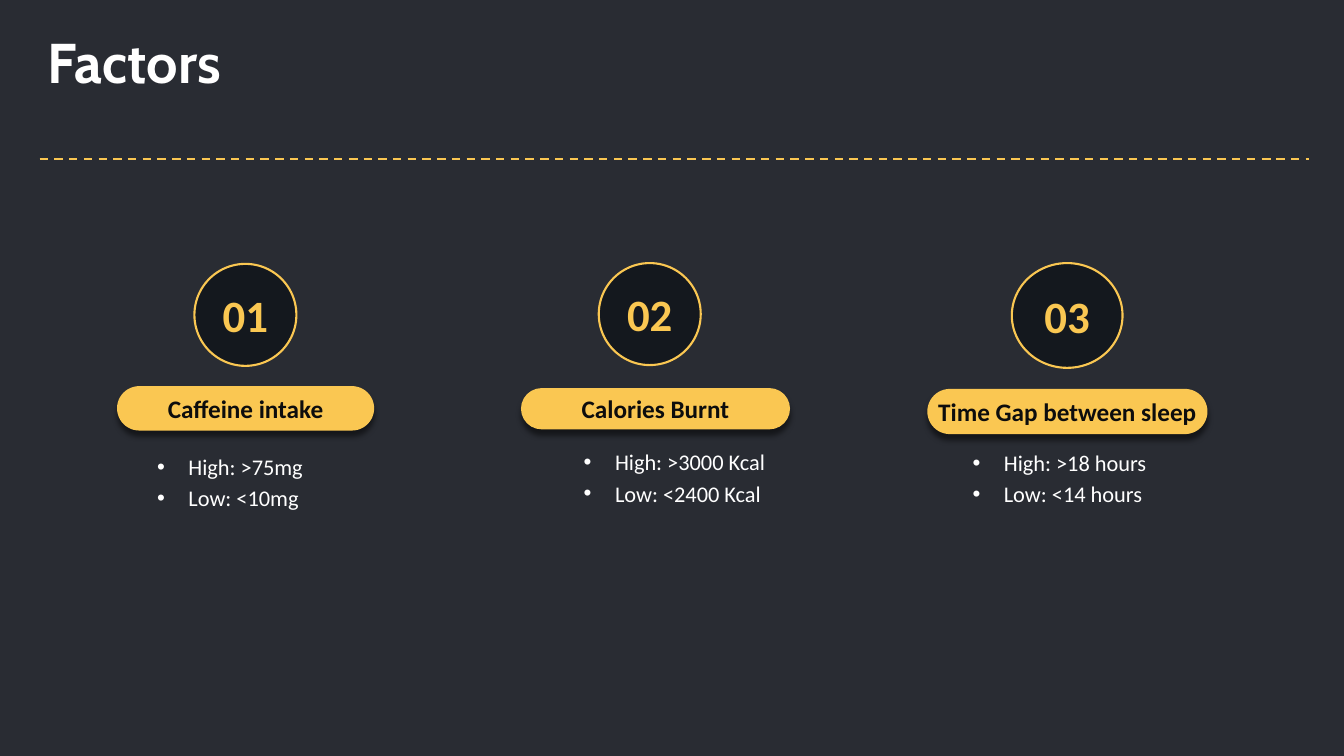
from lxml import etree
from pptx import Presentation
from pptx import util as u
from pptx.dml.color import RGBColor
from pptx.enum import dml, shapes, text
from pptx.oxml import ns

YELLOW, DARK, NIGHT, INK, WHITE = "FAC752", "292C33", "14181E", "0D0D0D", "FFFFFF"

TITLE_FORMAT = {"name": "Cabin", "size": u.Pt(40), "bold": True}
NUMBER_FORMAT = {"name": "Calibri", "size": u.Pt(32), "bold": True}
LABEL_FORMAT = {"name": "Calibri", "size": u.Pt(18), "bold": True}
BULLET_FORMAT = {"name": "Calibri", "size": u.Pt(16), "bold": False}

WAVE = [
    (0, 0), (0.58, 0), (1.93, 0.05), (5.33, 0.05), (5.99, 0.03), (6.96, 0.03),
    (7.32, 0.05), (9.47, 0.05), (9.73, 0.08), (10.06, 0.1), (10.82, 0.1),
    (11.76, 0.05), (12.4, 0.03), (12.65, 0), (15.42, 0), (15.67, 0.03),
    (15.98, 0.05), (21.01, 0.05), (21.54, 0.08), (22.02, 0.1), (22.3, 0.1),
    (23.16, 0.13), (23.95, 0.13), (24.13, 0.1), (24.31, 0.1), (24.61, 0.08),
    (25.43, 0.08), (26.24, 0.05), (26.8, 0.05), (27.89, 0.08), (28.47, 0.08),
    (28.7, 0.05), (31.04, 0.05), (31.29, 0), (31.5, 0),
]

FACTORS = [
    {"box": (2.95, 6.65, 6.48), "circle": (1.95, 2.57, 2.57),
     "pill": (3.08, 1.12), "bullets": (-0.26, 4.75, 5.54),
     "label": "Caffeine intake", "levels": ["High: >75mg", "Low: <10mg"]},
    {"box": (13.13, 6.63, 6.78), "circle": (1.96, 2.57, 2.57),
     "pill": (3.15, 1.04), "bullets": (0.31, 4.65, 7.7),
     "label": "Calories Burnt", "levels": ["High: >3000 Kcal", "Low: <2400 Kcal"]},
    {"box": (23.37, 6.63, 7.06), "circle": (2.13, 2.79, 2.64),
     "pill": (3.17, 1.14), "bullets": (-0.13, 4.67, 6.4),
     "label": "Time Gap between sleep", "levels": ["High: >18 hours", "Low: <14 hours"]},
]


def color(value):
    return RGBColor.from_string(value)


def centimeters(*values):
    return [u.Cm(value) for value in values]


def paint(shape, fill, line=None):
    shape.shadow.inherit = False
    if fill:
        shape.fill.solid()
        shape.fill.fore_color.rgb = color(fill)
    else:
        shape.fill.background()
    if line:
        shape.line.color.rgb = color(line)
        shape.line.width = u.Pt(1.5)
    else:
        shape.line.fill.background()


def write(shape, lines, font_format, font_color, align, anchor=text.MSO_ANCHOR.MIDDLE,
          margin=0, wrap=True):
    frame = shape.text_frame
    frame_format = {"word_wrap": wrap, "vertical_anchor": anchor,
                    "auto_size": text.MSO_AUTO_SIZE.NONE,
                    "margin_left": u.Cm(2 * margin), "margin_right": u.Cm(2 * margin),
                    "margin_top": u.Cm(margin), "margin_bottom": u.Cm(margin)}
    for name, value in frame_format.items():
        setattr(frame, name, value)
    frame.text = "\n".join(lines)
    for paragraph in frame.paragraphs:
        paragraph.alignment = align
        font = paragraph.runs[0].font
        font.color.rgb = color(font_color)
        for name, value in font_format.items():
            setattr(font, name, value)
    return frame.paragraphs


def add_soft_shadow(shape):
    effects = shape._element.spPr.find(ns.qn("a:effectLst"))
    shadow = etree.SubElement(effects, ns.qn("a:outerShdw"), blurRad=str(u.Pt(4)),
                              dist=str(u.Pt(4)), dir="5400000", rotWithShape="0")
    tint = etree.SubElement(shadow, ns.qn("a:srgbClr"), val="000000")
    etree.SubElement(tint, ns.qn("a:alpha"), val="50000")


def add_bullet(paragraph):
    paragraph.level = 1
    paragraph.space_before = u.Pt(3.2)
    properties = paragraph._p.get_or_add_pPr()
    properties.set("marL", str(u.Cm(2.06)))
    properties.set("indent", str(u.Cm(-0.79)))
    etree.SubElement(properties, ns.qn("a:buFont"), typeface="Arial")
    etree.SubElement(properties, ns.qn("a:buChar"), char="•")


def add_header(slide, left, top, width):
    title = slide.shapes.title
    title.left, title.top, title.width, title.height = centimeters(left, top, width, 1.98)
    write(title, ["Factors"], TITLE_FORMAT, WHITE, text.PP_ALIGN.LEFT,
          text.MSO_ANCHOR.TOP, 0.13)

    points = [(left + 0.25 + x, top + 2.97 + y) for x, y in WAVE]
    builder = slide.shapes.build_freeform(*points[0], scale=u.Cm(1))
    builder.add_line_segments(points[1:], close=False)
    wave = builder.convert_to_shape()
    paint(wave, None, YELLOW)
    wave.line.dash_style = dml.MSO_LINE.DASH


def add_factor(slide, number, factor):
    left, top, width = factor["box"]
    group = slide.shapes.add_group_shape().shapes

    offset_x, offset_y, bullets_width = factor["bullets"]
    bullets = group.add_textbox(
        *centimeters(left + offset_x, top + offset_y, bullets_width, 1.5))
    for paragraph in write(bullets, factor["levels"], BULLET_FORMAT, WHITE,
                           text.PP_ALIGN.LEFT):
        add_bullet(paragraph)

    offset_y, height = factor["pill"]
    pill = group.add_shape(shapes.MSO_SHAPE.ROUNDED_RECTANGLE,
                           *centimeters(left, top + offset_y, width, height))
    pill.adjustments[0] = 0.5
    paint(pill, YELLOW)
    add_soft_shadow(pill)
    write(pill, [factor["label"]], LABEL_FORMAT, INK, text.PP_ALIGN.CENTER, wrap=False)

    offset_x, circle_width, circle_height = factor["circle"]
    circle = group.add_shape(
        shapes.MSO_SHAPE.OVAL,
        *centimeters(left + offset_x, top, circle_width, circle_height))
    paint(circle, NIGHT, YELLOW)
    write(circle, [f"{number:02}"], NUMBER_FORMAT, YELLOW, text.PP_ALIGN.CENTER, wrap=False)


def main():
    presentation = Presentation()
    presentation.slide_width, presentation.slide_height = centimeters(33.87, 19.05)
    slide = presentation.slides.add_slide(presentation.slide_layouts[5])
    slide.background.fill.solid()
    slide.background.fill.fore_color.rgb = color(DARK)
    add_header(slide, 0.94, 0.56, 32)
    for number, factor in enumerate(FACTORS, 1):
        add_factor(slide, number, factor)
    presentation.save("out.pptx")


if __name__ == "__main__":
    main()
